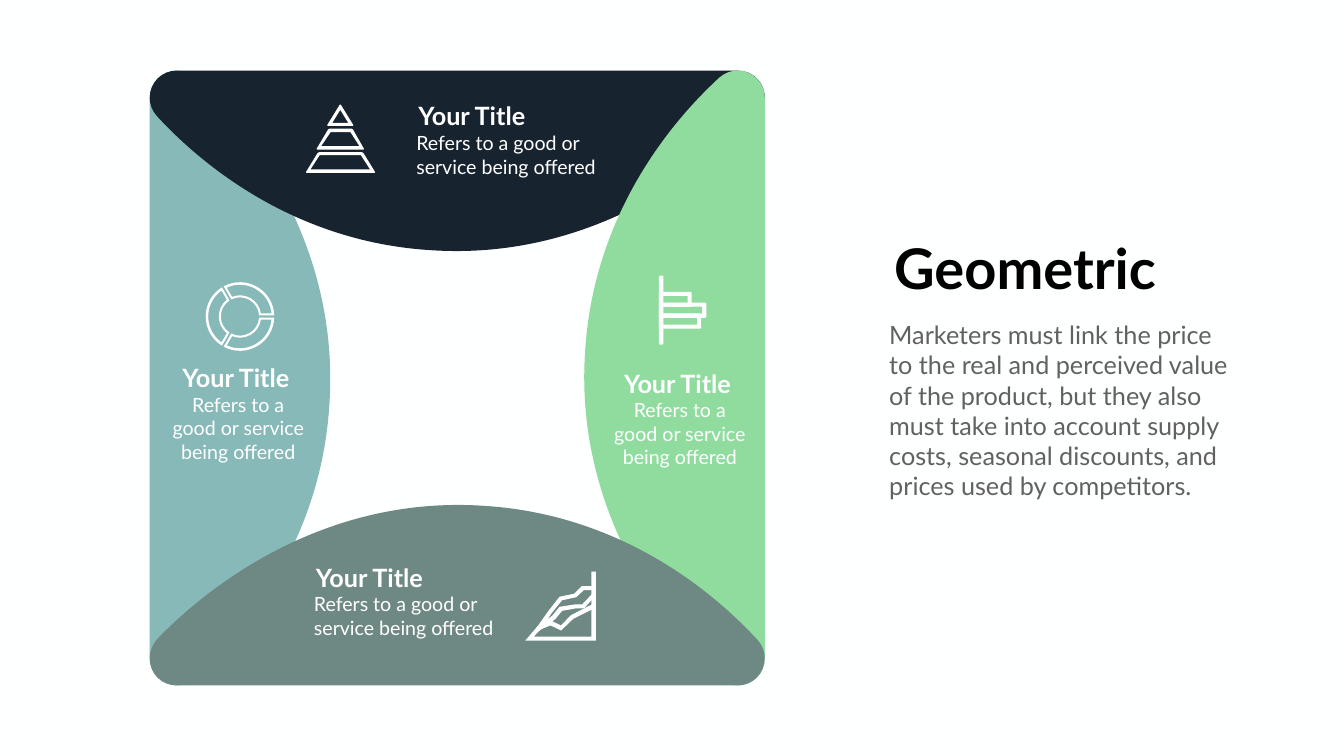
from math import asin, cos, radians, sin, tan

from pptx import Presentation, util as u
from pptx.dml.color import RGBColor
from pptx.enum import text
from pptx.oxml import ns

PX = 9144
WIDTH, HEIGHT = 2666, 1500
FONT = "Lato"

PAPER = RGBColor(0xFE, 0xFF, 0xFF)
TEAL = RGBColor(0x87, 0xB9, 0xB8)
NAVY = RGBColor(0x18, 0x23, 0x30)
GREEN = RGBColor(0x90, 0xDC, 0x9F)
SAGE = RGBColor(0x6E, 0x88, 0x84)
WHITE = RGBColor(0xFF, 0xFF, 0xFF)
BLACK = RGBColor(0, 0, 0)
GREY = RGBColor(0x61, 0x61, 0x61)

LEFT, CENTER = text.PP_ALIGN.LEFT, text.PP_ALIGN.CENTER

HEADING = "Geometric"
SUMMARY = ("Marketers must link the price to the real and perceived value of the product, "
           "but they also must take into account supply costs, seasonal discounts, "
           "and prices used by competitors.")
CAPTION = "Your Title"
WIDE_LINES = ["Refers to a good or", "service being offered"]
NARROW_LINES = ["Refers to a", "good or service", "being offered"]

CAPTION_OFFSET, CAPTION_HEIGHT = 60, 51
LABELS = [
    (816, 255, 392, 101, 4, 254, LEFT, WIDE_LINES),
    (613, 1170, 392, 101, 4, 254, LEFT, WIDE_LINES),
    (1204, 785, 289, 146, 24, 242, CENTER, NARROW_LINES),
    (328, 774, 289, 146, 24, 242, CENTER, NARROW_LINES),
]

SQUARE_LEFT, SQUARE_TOP, SIDE = 297, 140, 1220
PANEL_CURVE = [
    (54, 0),
    (24, 0), (0, 23), (0, 54),
    (0, 67), (5, 80), (14, 91),
    (78, 158), (316, 382), (668, 356),
    (962, 336), (1146, 155), (1206, 90),
    (1215, 80), (1220, 67), (1220, 54),
    (1220, 24), (1196, 0), (1166, 0),
]
PANELS = [
    (TEAL, lambda along, depth: (depth, along)),
    (NAVY, lambda along, depth: (SIDE - along, depth)),
    (GREEN, lambda along, depth: (SIDE - depth, SIDE - along)),
    (SAGE, lambda along, depth: (along, SIDE - depth)),
]

BAR_LEFT, BAR_TOP, BAR_STEP, BAR_HEIGHT, BAR_STROKE = 1307, 579, 21.5, 30, 8
BAR_WIDTHS = [65, 94, 84]
BAR_AXIS = (1307, 547, 9, 137)

RING_CENTER = (476, 628)
RING_OUTER = (38, 68, 2)
RING_HOLE = (42, 63, 6)
RING_STARTS = [120, 240, 0]

PYRAMID = [
    ([(648, 250), (675, 206), (702, 250)], [(659, 244), (675, 218), (691, 244)]),
    ([(627, 297), (652, 255), (699, 255), (723, 297)],
     [(637, 290), (656, 262), (695, 262), (713, 290)]),
    ([(606, 343), (631, 302), (720, 302), (745, 343)],
     [(616, 336), (634, 308), (716, 308), (734, 336)]),
]

AREA_FRAME = [(1042, 1271), (1066, 1243), (1092, 1231), (1113, 1241), (1132, 1221),
              (1173, 1200), (1173, 1134), (1182, 1134), (1182, 1271)]
AREA_HOLE = [(1072, 1249), (1059, 1263), (1173, 1263), (1173, 1210),
             (1137, 1228), (1113, 1251), (1092, 1241)]
AREA_BANDS = [(1064, 1246), (1088, 1212), (1110, 1184), (1139, 1178), (1154, 1163),
              (1181, 1163), (1181, 1171), (1158, 1171), (1143, 1185), (1115, 1191),
              (1094, 1217), (1086, 1229), (1096, 1221), (1110, 1204), (1142, 1199),
              (1155, 1199), (1177, 1176), (1181, 1182), (1159, 1207), (1143, 1207),
              (1115, 1212), (1102, 1228), (1069, 1252)]


def toward(corner, neighbour, cut):
    dx, dy = neighbour[0] - corner[0], neighbour[1] - corner[1]
    share = cut / (dx * dx + dy * dy) ** 0.5
    return corner[0] + dx * share, corner[1] + dy * share


def bevelled(corners, cut=2):
    following = corners[1:] + corners[:1]
    return [toward(corner, neighbour, cut)
            for index, corner in enumerate(corners)
            for neighbour in (corners[index - 1], following[index])]


def box(left, top, width, height):
    return [(left, top), (left + width, top), (left + width, top + height), (left, top + height)]


def arc(radius, begin, end):
    reach = 4 / 3 * tan((end - begin) / 4)
    points = []
    for angle, pull in ((begin, 0), (begin, reach), (end, -reach), (end, 0)):
        points.append((RING_CENTER[0] + radius * (cos(angle) - pull * sin(angle)),
                       RING_CENTER[1] + radius * (sin(angle) + pull * cos(angle))))
    return points


def ring_part(start, inner, outer, gap):
    begin, end = radians(start), radians(start + 120)
    inside = arc(inner, begin + asin(gap / inner), end - asin(gap / inner))
    outside = arc(outer, end - asin(gap / outer), begin + asin(gap / outer))
    return inside + [inside[-1], outside[0]] + outside


def bend(shape):
    lines = list(shape._element.iter(ns.qn("a:lnTo")))
    for first, second, third in zip(lines[::3], lines[1::3], lines[2::3]):
        first.tag = ns.qn("a:cubicBezTo")
        for line in (second, third):
            first.append(line[0])
            line.getparent().remove(line)


def draw(slide, color, *contours, curved=False):
    scaled = [[(round(x * PX), round(y * PX)) for x, y in contour] for contour in contours]
    builder = slide.shapes.build_freeform(*scaled[0][0], scale=1.0)
    builder.add_line_segments(scaled[0][1:], close=True)
    for hole in scaled[1:]:
        builder.move_to(*hole[0])
        builder.add_line_segments(hole[1:], close=True)
    shape = builder.convert_to_shape()
    if curved:
        bend(shape)
    shape.shadow.inherit = False
    shape.fill.solid()
    shape.fill.fore_color.rgb = color
    shape.line.fill.background()


def write(shape, place, lines, size, color, align=LEFT, bold=False):
    shape.left, shape.top, shape.width, shape.height = (value * PX for value in place)
    frame = shape.text_frame
    frame.word_wrap = True
    frame.auto_size = text.MSO_AUTO_SIZE.NONE
    frame.vertical_anchor = text.MSO_ANCHOR.TOP
    for index, line in enumerate(lines):
        paragraph = frame.add_paragraph() if index else frame.paragraphs[0]
        paragraph.alignment = align
        run = paragraph.add_run()
        run.text = line
        run.font.name = FONT
        run.font.size = u.Pt(size)
        run.font.bold = bold
        run.font.color.rgb = color


def main():
    deck = Presentation()
    deck.slide_width, deck.slide_height = WIDTH * PX, HEIGHT * PX
    slide = deck.slides.add_slide(deck.slide_layouts[5])
    slide.background.fill.solid()
    slide.background.fill.fore_color.rgb = PAPER

    for color, turn in PANELS:
        turned = [turn(*point) for point in PANEL_CURVE]
        draw(slide, color, [(SQUARE_LEFT + x, SQUARE_TOP + y) for x, y in turned], curved=True)

    draw(slide, WHITE, bevelled(box(*BAR_AXIS)))
    for index, width in enumerate(BAR_WIDTHS):
        top = BAR_TOP + index * BAR_STEP
        hole = box(BAR_LEFT + BAR_STROKE, top + BAR_STROKE,
                   width - 2 * BAR_STROKE, BAR_HEIGHT - 2 * BAR_STROKE)
        draw(slide, WHITE, bevelled(box(BAR_LEFT, top, width, BAR_HEIGHT)), hole)

    for start in RING_STARTS:
        draw(slide, WHITE, ring_part(start, *RING_OUTER), ring_part(start, *RING_HOLE),
             curved=True)

    for tier, hole in PYRAMID:
        draw(slide, WHITE, bevelled(tier), hole)

    draw(slide, WHITE, AREA_FRAME, AREA_HOLE)
    draw(slide, WHITE, AREA_BANDS)

    def add_text(*details, **options):
        write(slide.shapes.add_textbox(0, 0, PX, PX), *details, **options)

    write(slide.shapes.title, (1758, 458, 551, 145), [HEADING], 80, BLACK, CENTER, True)
    add_text((1754, 629, 701, 365), [SUMMARY], 36, GREY)
    for left, top, width, height, indent, caption_width, align, lines in LABELS:
        add_text((left, top, width, height), lines, 28, WHITE, align)
        add_text((left + indent, top - CAPTION_OFFSET, caption_width, CAPTION_HEIGHT),
                 [CAPTION], 36, WHITE, bold=True)

    deck.save("out.pptx")


if __name__ == "__main__":
    main()
